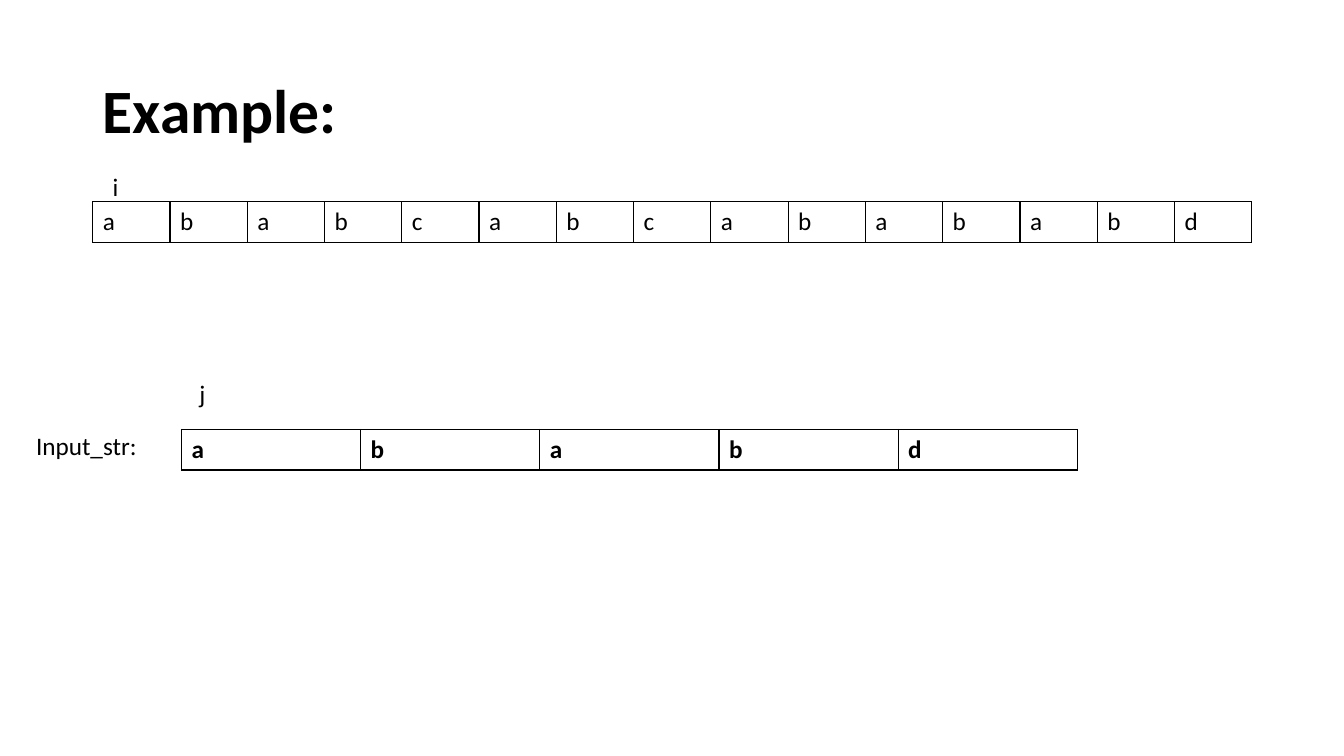
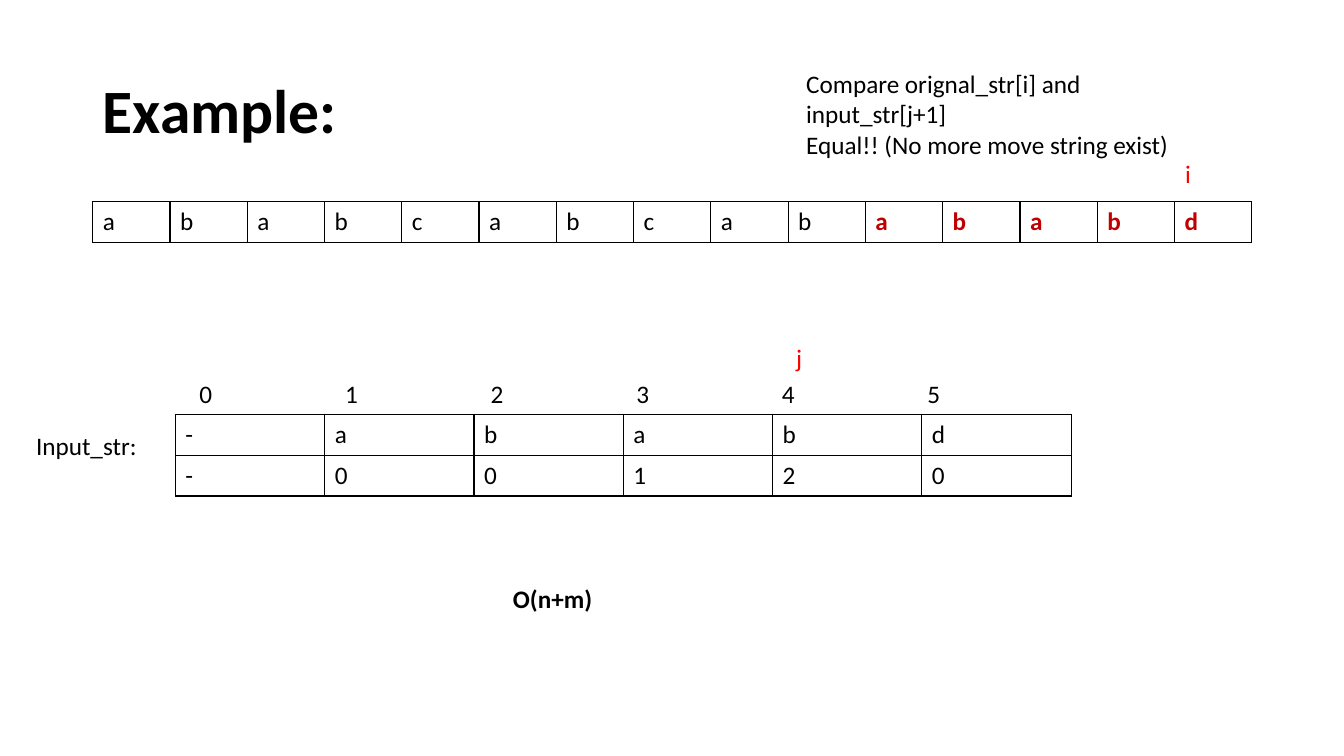
from pptx import Presentation
from pptx import oxml
from pptx import util as u
from pptx.dml import color as colors
from pptx.enum import text as text_enum
from pptx.oxml import ns

FONT = "Calibri"
BLACK = "000000"
RED = "FF0000"
DARK_RED = "C00000"
ROW_HEIGHT = 29.2
LABEL_HEIGHT = 29
TAB_STEP = 104


def write_text(frame, text, size=18, bold=False, color=BLACK, middle=False, line_spacing=None):
    frame.word_wrap = True
    if middle:
        frame.vertical_anchor = text_enum.MSO_ANCHOR.MIDDLE
    for index, line in enumerate(text.split("\n")):
        paragraph = frame.paragraphs[0] if index == 0 else frame.add_paragraph()
        paragraph.text = line
        if "\t" in line:
            stops = "".join(
                f'<a:tab pos="{u.Pt(TAB_STEP * stop)}" algn="l"/>'
                for stop in range(1, line.count("\t") + 1)
            )
            properties = paragraph._p.get_or_add_pPr()
            properties.append(oxml.parse_xml(f'<a:tabLst {ns.nsdecls("a")}>{stops}</a:tabLst>'))
        if line_spacing:
            paragraph.line_spacing = line_spacing
        for run in paragraph.runs:
            run.font.name = FONT
            run.font.size = u.Pt(size)
            run.font.bold = bold
            run.font.color.rgb = colors.RGBColor.from_string(color)


def add_grid(slide, rows, left, top, width, bold=False, match_start=None, bottom_border=1):
    column_count = len(rows[0])
    table = slide.shapes.add_table(
        len(rows), column_count, u.Pt(left), u.Pt(top), u.Pt(width), u.Pt(ROW_HEIGHT * len(rows))
    ).table
    table.first_row = False
    table.horz_banding = False
    for column in table.columns:
        column.width = u.Pt(width / column_count)
    for row_index, letters in enumerate(rows):
        table.rows[row_index].height = u.Pt(ROW_HEIGHT)
        for column_index, letter in enumerate(letters):
            cell = table.cell(row_index, column_index)
            matched = match_start is not None and column_index >= match_start
            write_text(cell.text_frame, letter, bold=bold or matched, color=DARK_RED if matched else BLACK)
            cell_properties = cell._tc.get_or_add_tcPr()
            for side, weight in (("L", 1), ("R", 1), ("T", 1), ("B", bottom_border)):
                cell_properties.append(oxml.parse_xml(
                    f'<a:ln{side} {ns.nsdecls("a")} w="{u.Pt(weight)}"><a:solidFill>'
                    f'<a:srgbClr val="{BLACK}"/></a:solidFill></a:ln{side}>'
                ))
            cell.fill.background()


presentation = Presentation()
presentation.slide_width = u.Pt(960)
presentation.slide_height = u.Pt(540)

shared_labels = [
    ("Example:", 66.24, 28.8, 828, 104.4, dict(size=44, bold=True, middle=True, line_spacing=0.9)),
    ("Input_str:", 18.7, 303.8, 95, LABEL_HEIGHT, {}),
]
start_labels = [
    ("i", 73.4, 118.8, 38, LABEL_HEIGHT, {}),
    ("j", 135.4, 266.4, 38, LABEL_HEIGHT, {}),
]
end_labels = [
    ("i", 839.5, 109.4, 38, LABEL_HEIGHT, dict(color=RED)),
    ("j", 561.6, 241.2, 70.6, LABEL_HEIGHT, dict(color=RED)),
    ("\t".join("012345"), 135.4, 266.4, 619.2, LABEL_HEIGHT, {}),
    ("Compare orignal_str[i] and input_str[j+1]\nEqual!! (No more move string exist)",
     568.8, 45.4, 301.7, 72, {}),
    ("O(n+m)", 359.3, 413.3, 95, LABEL_HEIGHT, dict(bold=True)),
]
start_grid = dict(rows=["ababd"], left=129.6, top=306.7, width=640, bold=True, bottom_border=2)
end_grid = dict(rows=["-ababd", "-00120"], left=125.3, top=295.9, width=640)

for labels, pattern_grid, match_start in (
    (start_labels, start_grid, None),
    (end_labels, end_grid, 10),
):
    slide = presentation.slides.add_slide(presentation.slide_layouts[6])
    add_grid(slide, ["ababcabcabababd"], 66.24, 144, 828, match_start=match_start)
    add_grid(slide, **pattern_grid)
    for text, left, top, width, height, text_format in shared_labels + labels:
        box = slide.shapes.add_textbox(u.Pt(left), u.Pt(top), u.Pt(width), u.Pt(height))
        write_text(box.text_frame, text, **text_format)

presentation.save("out.pptx")
